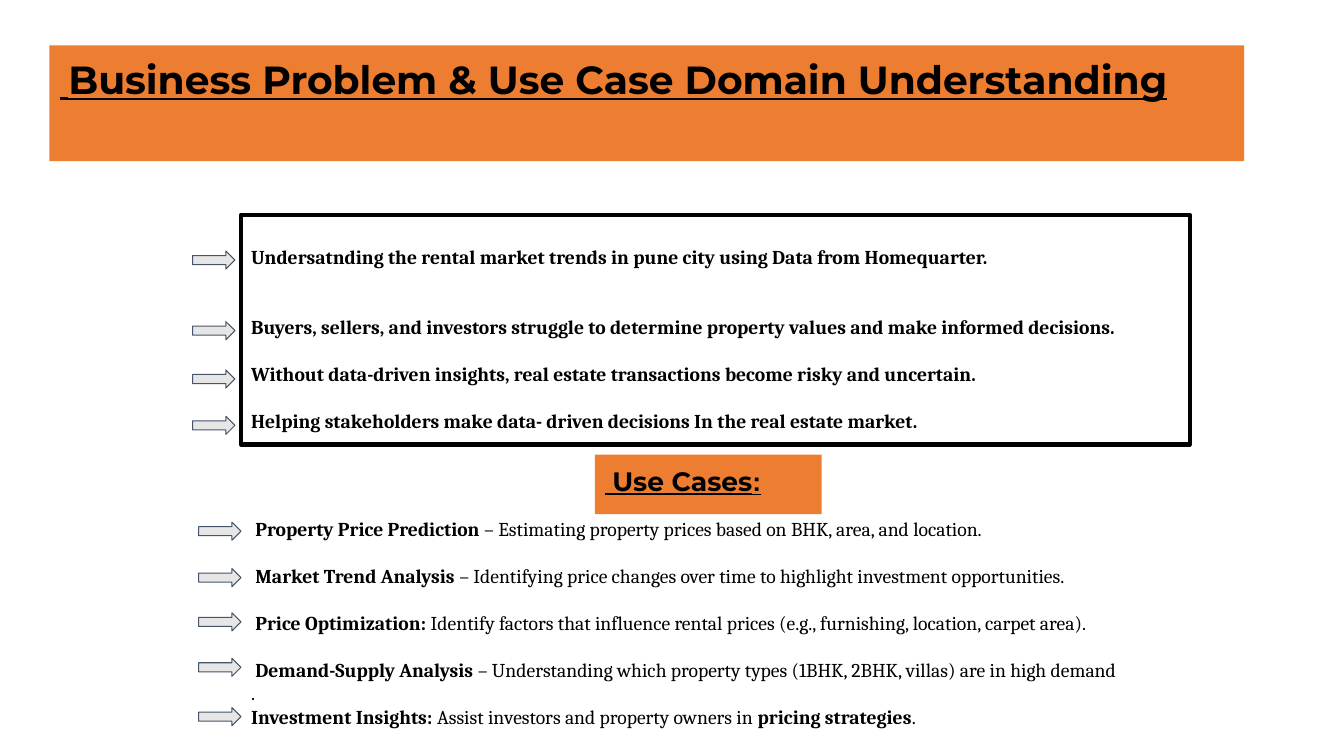
import pptx
import pptx.dml.color
import pptx.enum.shapes
import pptx.enum.text
import pptx.util
from pptx.util import Inches

COLOURS = {
    "banner": "ED7D31",
    "text": "000000",
    "arrow": "E7E6E6",
    "arrow_line": "44546A",
}
HEADING = {"size": 28, "bold": True, "underline": True}
LABEL = {"size": 19, "bold": True, "underline": True}
LINE_GAP = 16.7

PROBLEMS = [
    "Undersatnding the rental market trends in pune city using Data from Homequarter.",
    "Buyers, sellers, and investors struggle to determine property values and make informed decisions.",
    "Without data-driven insights, real estate transactions become risky and uncertain.",
    "Helping stakeholders make data- driven decisions In the real estate market.",
]
PROBLEM_GAPS = [0, 2 * LINE_GAP, LINE_GAP, LINE_GAP]
PROBLEM_ARROWS = [2.49, 3.19, 3.67, 4.13]

# Each use case alternates plain and bold text, starting with plain
USE_CASES = [
    [" ", "Property Price Prediction",
     " – Estimating property prices based on BHK, area, and location."],
    [" ", "Market Trend Analysis",
     " – Identifying price changes over time to highlight investment opportunities."],
    [" ", "Price Optimization:",
     " Identify factors that influence rental prices (e.g., furnishing, location, carpet area)."],
    [" ", "Demand-Supply Analysis",
     " – Understanding which property types (1BHK, 2BHK, villas) are in high demand"],
    ["."],
    ["", "Investment Insights:", " Assist investors and property owners in ",
     "pricing strategies", "."],
]
USE_CASE_GAPS = [0, LINE_GAP, LINE_GAP, LINE_GAP, 0, 0]
USE_CASE_ARROWS = [5.18, 5.64, 6.08, 6.53, 7.02]


def colour(name):
    return pptx.dml.color.RGBColor.from_string(COLOURS[name])


def add_span(para, text, font="Cambria", size=14, bold=False, underline=False):
    span = para.add_run()
    span.text = text
    span.font.name = font
    span.font.size = pptx.util.Pt(size)
    span.font.bold = bold
    span.font.underline = underline
    span.font.color.rgb = colour("text")


def prepare_frame(shape, left, top, width, height, inset_top=0.1):
    """Place a shape and give its text frame fixed insets."""
    shape.left, shape.top = Inches(left), Inches(top)
    shape.width, shape.height = Inches(width), Inches(height)
    frame = shape.text_frame
    frame.word_wrap = True
    frame.auto_size = pptx.enum.text.MSO_AUTO_SIZE.NONE
    frame.vertical_anchor = pptx.enum.text.MSO_ANCHOR.TOP
    frame.margin_left = frame.margin_right = frame.margin_bottom = Inches(0.1)
    frame.margin_top = Inches(inset_top)
    return frame


def format_para(para, gap=0):
    para.alignment = pptx.enum.text.PP_ALIGN.LEFT
    para.space_before = pptx.util.Pt(gap)
    para.space_after = pptx.util.Pt(0)
    properties = para._p.get_or_add_pPr()
    properties.set("marL", "0")
    properties.set("indent", "0")
    properties.append(pptx.oxml.parse_xml(
        '<a:buNone xmlns:a="http://schemas.openxmlformats.org/drawingml/2006/main"/>'))


def fill_banner(shape, box, spans):
    """An orange bar with one line of underlined text."""
    frame = prepare_frame(shape, *box)
    shape.fill.solid()
    shape.fill.fore_color.rgb = colour("banner")
    para = frame.paragraphs[0]
    format_para(para)
    for text, style in spans:
        add_span(para, text, **style)


def fill_list(shape, box, inset_top, items, gaps):
    """A list without bullets; items are lists of (text, bold)."""
    frame = prepare_frame(shape, *box, inset_top=inset_top)
    for index, (item, gap) in enumerate(zip(items, gaps)):
        para = frame.add_paragraph() if index else frame.paragraphs[0]
        format_para(para, gap)
        for text, bold in item:
            add_span(para, text, bold=bold)


def add_arrows(page, left, tops):
    for top in tops:
        arrow = page.shapes.add_shape(
            pptx.enum.shapes.MSO_SHAPE.RIGHT_ARROW,
            Inches(left), Inches(top), Inches(0.42), Inches(0.18))
        arrow.shadow.inherit = False
        arrow.fill.solid()
        arrow.fill.fore_color.rgb = colour("arrow")
        arrow.line.color.rgb = colour("arrow_line")
        arrow.line.width = pptx.util.Pt(0.75)


def build_page(deck):
    page = deck.slides.add_slide(deck.slide_layouts.get_by_name("Two Content"))
    title, problem_list, use_case_list = page.placeholders

    # Heading
    fill_banner(title, (0.49, 0.45, 11.85, 1.15), [
        (" ", {"font": "Calibri", **HEADING}),
        ("Business Problem & Use Case Domain Understanding",
         {"font": "Montserrat", **HEADING}),
    ])

    # Business problem, in a frame tall enough to clear the last line
    fill_list(problem_list, (2.39, 2.13, 9.41, 2.28), 0.3,
              [[(text, True)] for text in PROBLEMS], PROBLEM_GAPS)
    problem_list.line.color.rgb = colour("text")
    problem_list.line.width = pptx.util.Pt(3)
    add_arrows(page, 1.91, PROBLEM_ARROWS)

    # Use cases
    items = [[(text, index % 2 == 1) for index, text in enumerate(item) if text]
             for item in USE_CASES]
    fill_list(use_case_list, (2.39, 4.48, 9.55, 2.9), 0.65, items, USE_CASE_GAPS)
    add_arrows(page, 1.97, USE_CASE_ARROWS)

    # Label above the use cases
    label = page.shapes.add_shape(pptx.enum.shapes.MSO_SHAPE.RECTANGLE, 0, 0, 0, 0)
    label.shadow.inherit = False
    label.line.fill.background()
    fill_banner(label, (5.9, 4.51, 2.25, 0.59), [
        (" Use Cases", {"font": "Montserrat", **LABEL}),
        (":", {"font": "Arial", **LABEL}),
    ])


def main():
    deck = pptx.Presentation()
    deck.slide_width, deck.slide_height = Inches(13.33), Inches(7.5)
    build_page(deck)
    deck.save("out.pptx")


if __name__ == "__main__":
    main()
